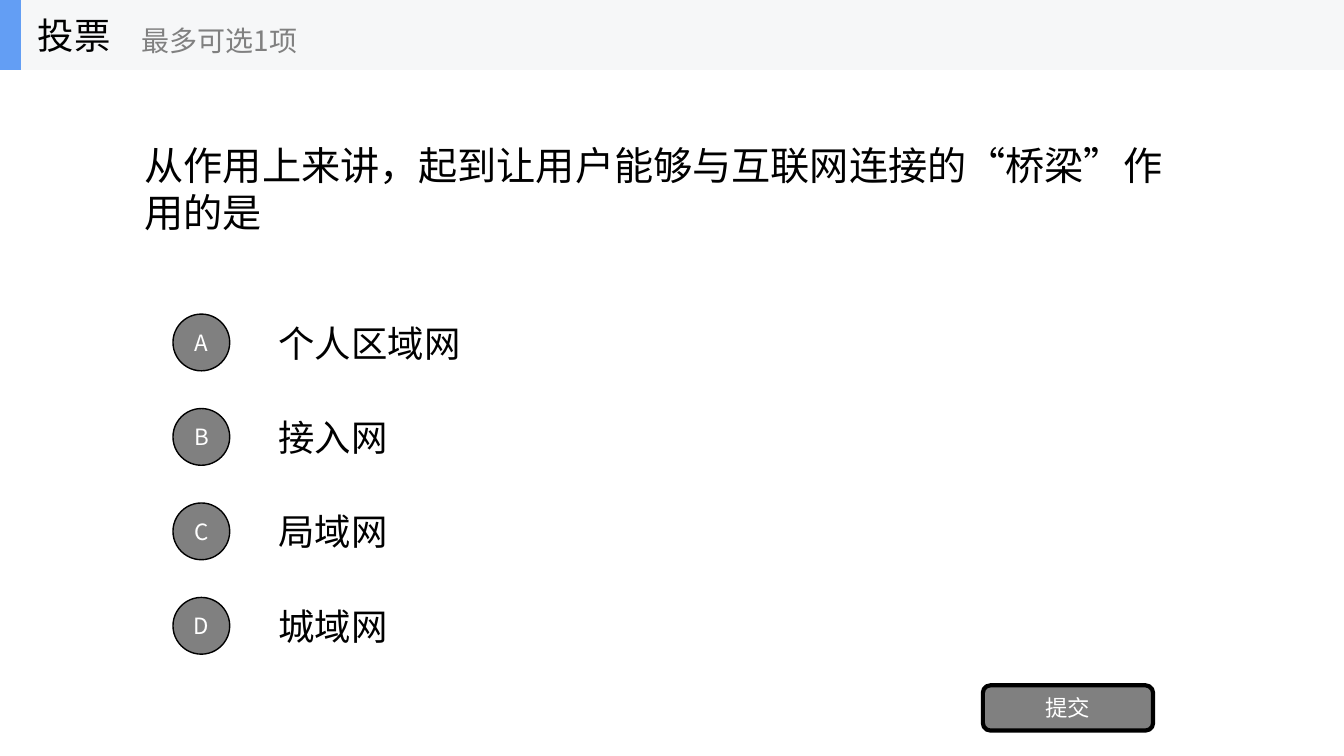
from pptx import Presentation
from pptx.dml.color import RGBColor
from pptx.enum import shapes, text
from pptx.oxml import ns
from pptx.util import Cm, Pt
from lxml import etree

QUESTION = "从作用上来讲，起到让用户能够与互联网连接的“桥梁”作用的是"
ANSWERS = {"A": "个人区域网", "B": "接入网", "C": "局域网", "D": "城域网"}
SUBMIT = "提交"
HEADING = "投票"
HINT = "最多可选1项"

THEME = {
    "font": "Noto Sans CJK SC",
    "ink": "000000", "grey": "808080", "white": "FFFFFF",
    "band": "F6F7F8", "accent": "639EF4",
    "question": 28, "answer": 26, "heading": 26, "hint": 20, "button": 16,
}

SLIDE_W, SLIDE_H = 33.87, 19.05
BAND_H = 1.76
ANSWER_TOP, ANSWER_STEP, ANSWER_H = 7.74, 2.38, 1.78
BADGE = 1.43


def color(name):
    return RGBColor.from_string(THEME[name])


def write(holder, words, size, ink="ink", align=text.PP_ALIGN.LEFT, wrap=True):
    frame = holder.text_frame
    frame_format = {
        "text": words,
        "word_wrap": wrap,
        "auto_size": text.MSO_AUTO_SIZE.NONE,
        "vertical_anchor": text.MSO_ANCHOR.MIDDLE,
    }
    for key, value in frame_format.items():
        setattr(frame, key, value)
    line = frame.paragraphs[0]
    line.alignment = align
    font = line.runs[0].font
    for key, value in {"name": THEME["font"], "size": Pt(THEME[size])}.items():
        setattr(font, key, value)
    font.color.rgb = color(ink)
    properties = line.runs[0]._r.get_or_add_rPr()
    etree.SubElement(properties, ns.qn("a:ea"), typeface=THEME["font"])


def label(parent, box, words, size, **look):
    write(parent.add_textbox(*map(Cm, box)), words, size, **look)


def block(parent, kind, box, fill, outline=0):
    piece = parent.add_shape(kind, *map(Cm, box))
    piece.shadow.inherit = False
    piece.fill.solid()
    piece.fill.fore_color.rgb = color(fill)
    if outline:
        piece.line.color.rgb = color("ink")
        piece.line.width = Pt(outline)
    else:
        piece.line.fill.background()
    return piece


def button(parent, kind, box, words, outline):
    piece = block(parent, kind, box, "grey", outline)
    write(piece, words, "button", ink="white", align=text.PP_ALIGN.CENTER)


def main():
    deck = Presentation()
    deck.slide_width, deck.slide_height = Cm(SLIDE_W), Cm(SLIDE_H)
    poll = deck.slides.add_slide(deck.slide_layouts[5])
    kinds = shapes.MSO_SHAPE

    question = poll.shapes.title
    place = {"left": 3.39, "top": 1.76, "width": 27.09, "height": 5.95}
    for key, value in place.items():
        setattr(question, key, Cm(value))
    write(question, QUESTION, "question")

    for row, (letter, answer) in enumerate(ANSWERS.items()):
        top = ANSWER_TOP + row * ANSWER_STEP
        label(poll.shapes, (6.77, top, 23.71, ANSWER_H), answer, "answer")
        badge_top = top + (ANSWER_H - BADGE) / 2
        button(poll.shapes, kinds.OVAL, (4.36, badge_top, BADGE, BADGE), letter, 1)

    button(poll.shapes, kinds.ROUNDED_RECTANGLE, (24.77, 17.27, 4.29, 1.14), SUBMIT, 3)

    header = poll.shapes.add_group_shape().shapes
    block(header, kinds.RECTANGLE, (0, 0, SLIDE_W, BAND_H), "band")
    block(header, kinds.RECTANGLE, (0, 0, 0.53, BAND_H), "accent")
    label(header, (0.7, 0, 5.28, BAND_H), HEADING, "heading", wrap=False)
    label(header, (3.32, 0.3, 6.35, 1.42), HINT, "hint", ink="grey", wrap=False)

    deck.save("out.pptx")


if __name__ == "__main__":
    main()
